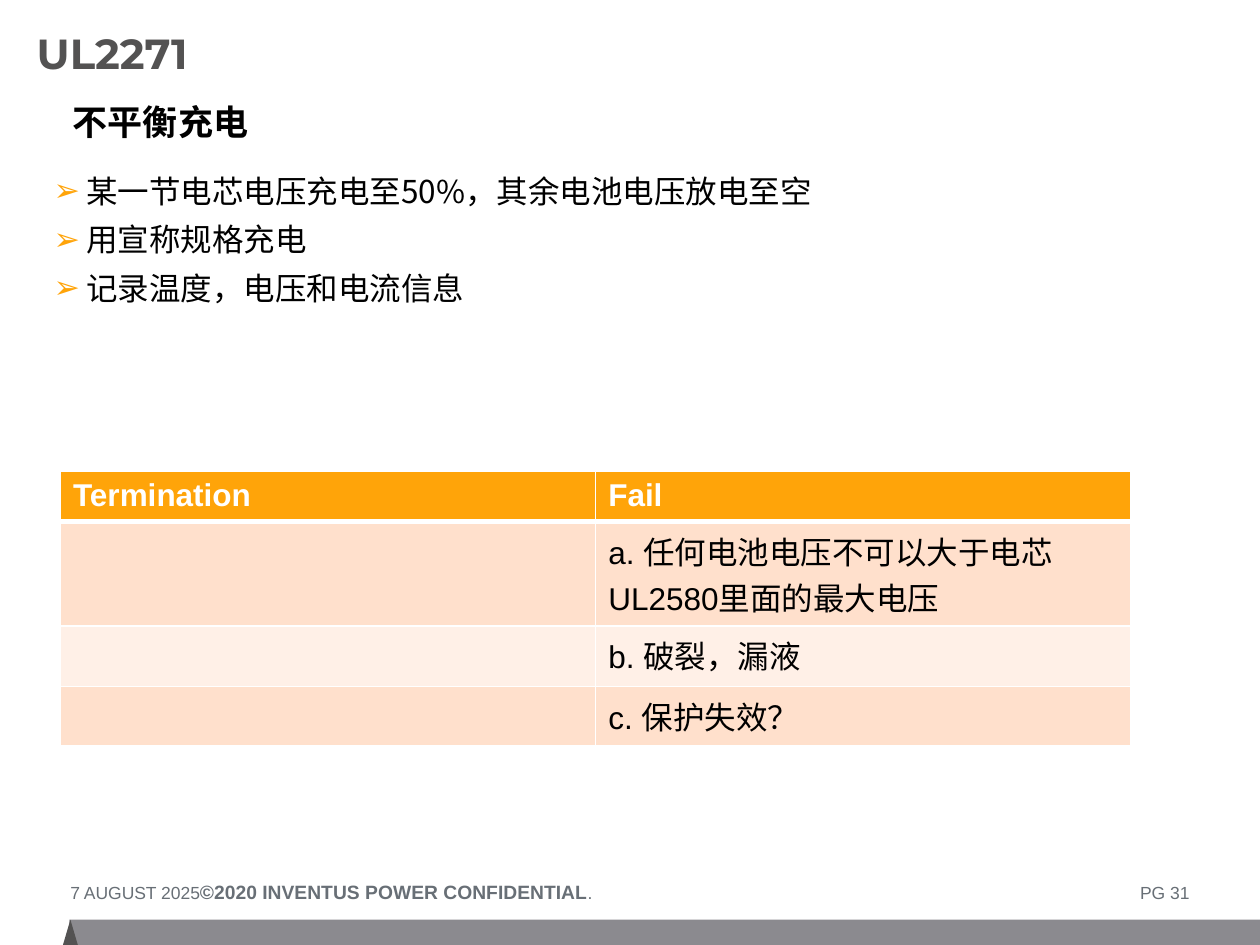
from lxml import etree
from pptx import Presentation
from pptx.dml.color import RGBColor
from pptx.enum.shapes import MSO_SHAPE
from pptx.enum.text import MSO_ANCHOR
from pptx.oxml.ns import qn
from pptx.util import Cm, Pt

RECTANGLE, TRIANGLE = MSO_SHAPE.RECTANGLE, MSO_SHAPE.ISOSCELES_TRIANGLE
TOP, MIDDLE = MSO_ANCHOR.TOP, MSO_ANCHOR.MIDDLE
CJK_FONT = "Noto Sans CJK SC"
ORANGE, WHITE, BLACK = "FFA409", "FFFFFF", "000000"
DARK, BAR_GRAY, FOOTER_GRAY = "535252", "8B8A8F", "686F76"
BANDS = ("FFE0CC", "FFF0E7")

# Content
TITLE = "UL2271"
SUBTITLE = "不平衡充电"
STEPS = [
    "某一节电芯电压充电至50%，其余电池电压放电至空",
    "用宣称规格充电",
    "记录温度，电压和电流信息",
]
TABLE_ROWS = [
    ("Termination", "Fail"),
    ("", "a. 任何电池电压不可以大于电芯UL2580里面的最大电压"),
    ("", "b. 破裂，漏液"),
    ("", "c. 保护失效？"),
]
ROW_HEIGHTS = (0.95, 2.1, 1.22, 1.19)
COLUMN_WIDTH = 10.79
FOOTER = [  # text, size, bold
    ("7 AUGUST 2025\t", 10, False),
    ("©2020 INVENTUS POWER CONFIDENTIAL", 11, True),
    (".\tPG 31", 10, False),
]
FOOTER_TABS = ((8.59, "dec"), (22.56, "r"))
FOOTER_BAR = [  # shape, box in cm, fill
    (RECTANGLE, (1.4, 18.54, 24, 0.51), BAR_GRAY),
    (TRIANGLE, (1.27, 18.54, 0.3, 0.51), DARK),
]


def color(value):
    return RGBColor.from_string(value)


def set_font(font, name, size, fill, bold=False):
    font.name, font.size, font.bold = name, Pt(size), bold
    font.color.rgb = color(fill)


def set_paragraph_font(para, *style):
    """Style a paragraph, with one typeface for its Chinese characters."""
    set_font(para.font, *style)
    properties = para.font._element
    properties.find(qn("a:latin")).addnext(
        etree.Element(qn("a:ea"), typeface=CJK_FONT))


def add_text_frame(page, box, margins=(0, 0), anchor=TOP):
    frame = page.shapes.add_textbox(*map(Cm, box)).text_frame
    frame.word_wrap, frame.vertical_anchor = True, anchor
    frame.margin_left = frame.margin_right = Cm(margins[0])
    frame.margin_top = frame.margin_bottom = Cm(margins[1])
    return frame


def add_bullet(para):
    properties = para._p.get_or_add_pPr()
    properties.set("marL", str(Cm(0.66)))
    properties.set("indent", str(-Cm(0.66)))
    bullet_color = etree.SubElement(properties, qn("a:buClr"))
    etree.SubElement(bullet_color, qn("a:srgbClr"), val=ORANGE)
    etree.SubElement(properties, qn("a:buFont"), typeface="Arial")
    etree.SubElement(properties, qn("a:buChar"), char="➢")


def set_borders(cell, bottom):
    properties = cell._tc.get_or_add_tcPr()
    for side, width in (("L", 1), ("R", 1), ("T", 1), ("B", bottom)):
        line = etree.SubElement(properties, qn(f"a:ln{side}"), w=str(Pt(width)))
        fill = etree.SubElement(line, qn("a:solidFill"))
        etree.SubElement(fill, qn("a:srgbClr"), val=WHITE)


def add_footer(page):
    for kind, box, fill in FOOTER_BAR:
        shape = page.shapes.add_shape(kind, *map(Cm, box))
        shape.shadow.inherit = False
        shape.fill.solid()
        shape.fill.fore_color.rgb = color(fill)
        shape.line.fill.background()

    para = add_text_frame(page, (1.42, 17.75, 22.58, 0.48)).paragraphs[0]
    tabs = etree.SubElement(para._p.get_or_add_pPr(), qn("a:tabLst"))
    for position, alignment in FOOTER_TABS:
        etree.SubElement(tabs, qn("a:tab"), pos=str(Cm(position)), algn=alignment)
    for text, size, bold in FOOTER:
        span = para.add_run()
        span.text = text
        set_font(span.font, "Arial", size, FOOTER_GRAY, bold)


def add_headings(page):
    title = add_text_frame(page, (0.74, 0.36, 18.75, 1.63), anchor=MIDDLE).paragraphs[0]
    title.text, title.line_spacing = TITLE, 0.75
    set_paragraph_font(title, "Montserrat", 24, DARK, True)

    subtitle = add_text_frame(page, (1.22, 1.9, 11.94, 1.12), (0.25, 0.13)).paragraphs[0]
    subtitle.text = SUBTITLE
    set_paragraph_font(subtitle, "Arial", 20, BLACK, True)


def add_steps(page):
    frame = add_text_frame(page, (1.08, 3.47, 22.56, 12.7))
    for index, text in enumerate(STEPS):
        para = frame.add_paragraph() if index else frame.paragraphs[0]
        para.text, para.space_after = text, Pt(6)
        add_bullet(para)
        set_paragraph_font(para, CJK_FONT, 18, BLACK)


def add_criteria_table(page):
    columns = len(TABLE_ROWS[0])
    table = page.shapes.add_table(
        len(TABLE_ROWS), columns, Cm(1.22), Cm(9.5),
        Cm(COLUMN_WIDTH * columns), Cm(sum(ROW_HEIGHTS))).table
    for column in table.columns:
        column.width = Cm(COLUMN_WIDTH)
    for index, (texts, height) in enumerate(zip(TABLE_ROWS, ROW_HEIGHTS)):
        table.rows[index].height = Cm(height)
        header = index == 0
        for cell, text in zip(table.rows[index].cells, texts):
            set_borders(cell, 3 if header else 1)
            cell.fill.solid()
            cell.fill.fore_color.rgb = color(ORANGE if header else BANDS[(index - 1) % 2])
            para = cell.text_frame.paragraphs[0]
            para.text = text
            set_paragraph_font(para, "Arial", 18, WHITE if header else BLACK, header)


def main():
    deck = Presentation()
    deck.slide_width, deck.slide_height = Cm(25.4), Cm(19.05)
    page = deck.slides.add_slide(deck.slide_layouts[6])
    add_footer(page)
    add_headings(page)
    add_steps(page)
    add_criteria_table(page)
    deck.save("out.pptx")


if __name__ == "__main__":
    main()
